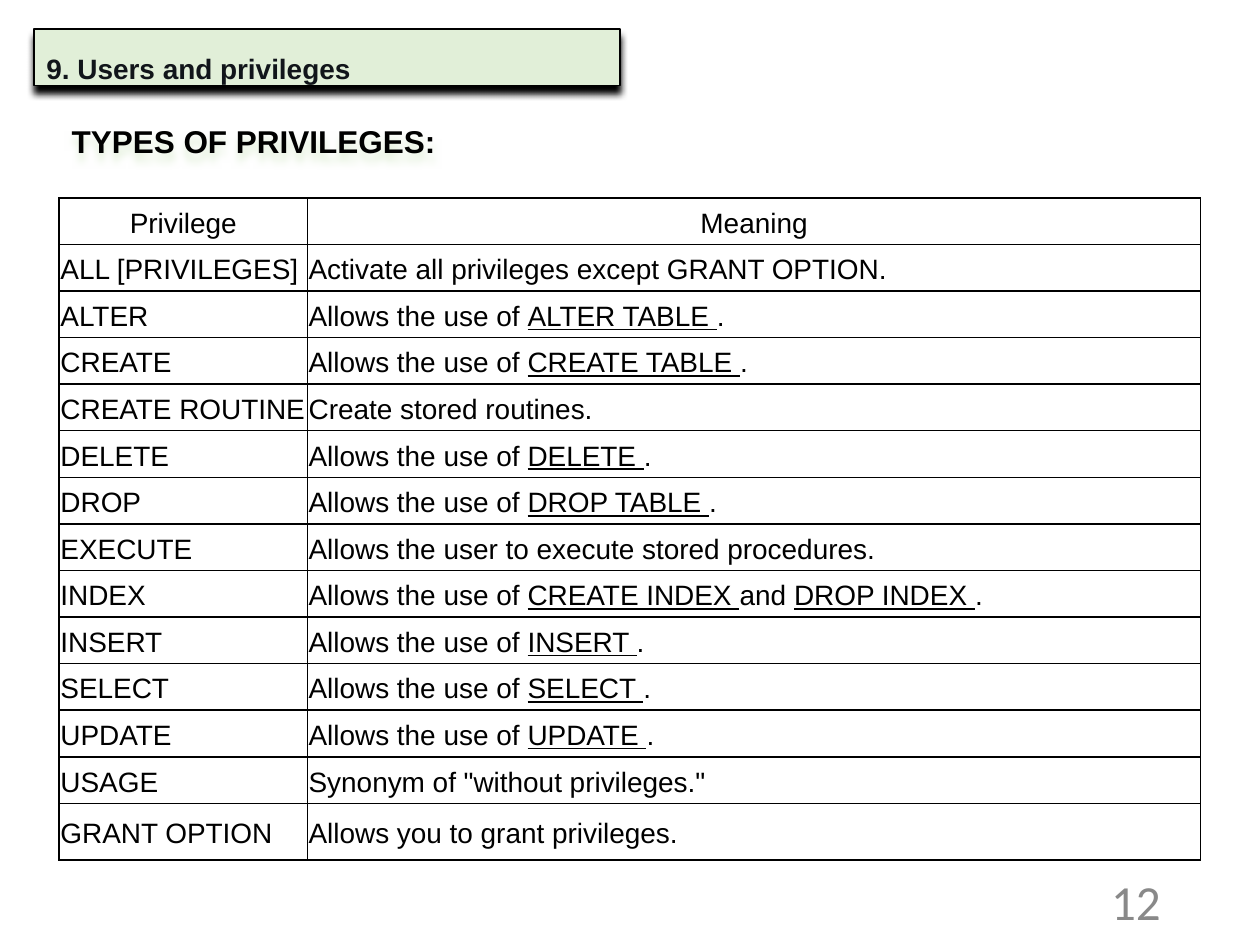
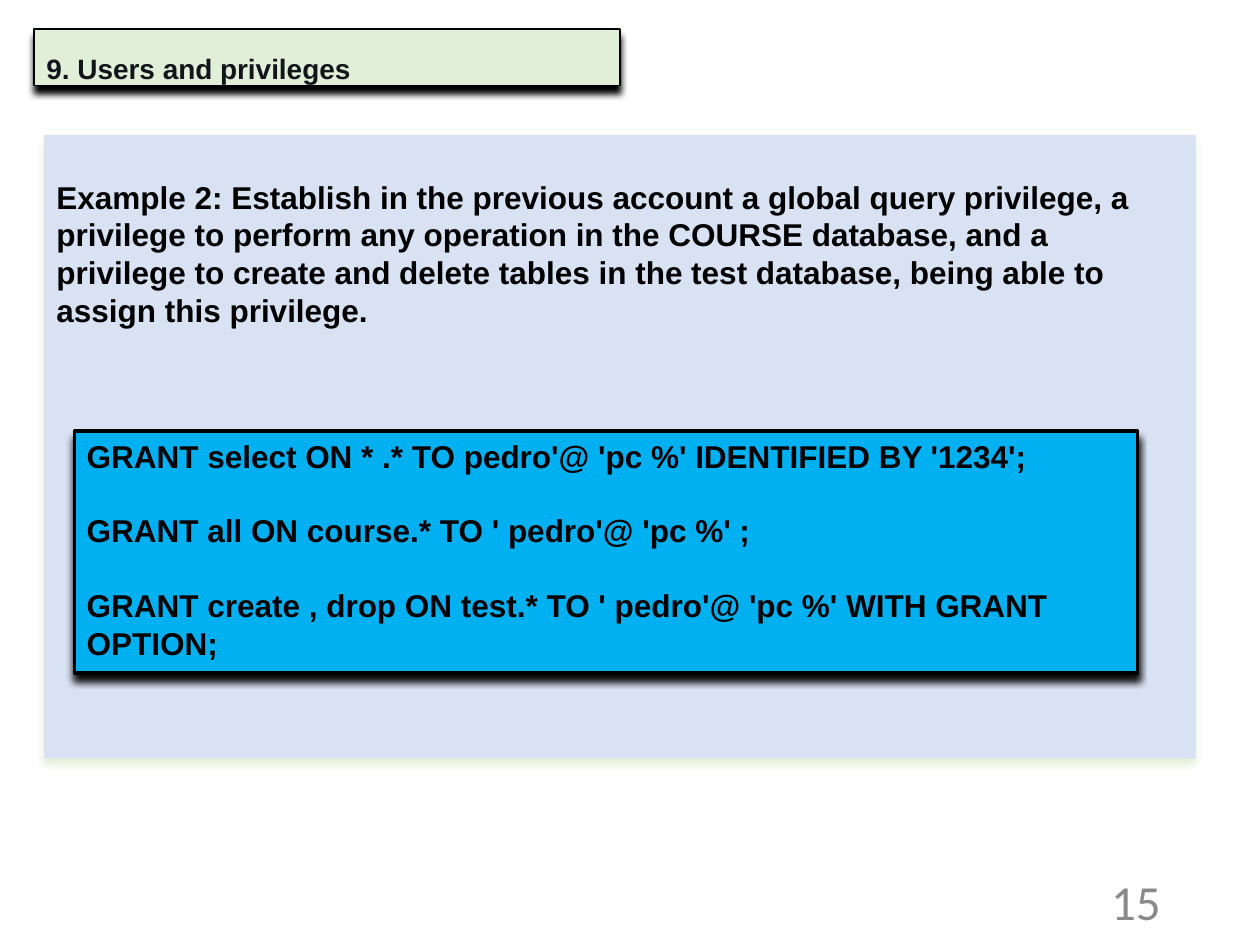
from dataclasses import dataclass

from lxml import etree
from pptx import Presentation
from pptx.dml.color import RGBColor
from pptx.enum.shapes import MSO_SHAPE
from pptx.enum.text import MSO_ANCHOR, PP_ALIGN
from pptx.oxml.ns import qn
from pptx.util import Inches, Pt

RECT = MSO_SHAPE.RECTANGLE
TOP, MIDDLE = MSO_ANCHOR.TOP, MSO_ANCHOR.MIDDLE
LEFT, CENTER, RIGHT = PP_ALIGN.LEFT, PP_ALIGN.CENTER, PP_ALIGN.RIGHT


@dataclass(frozen=True)
class Theme:
    """Colours, fonts and type sizes of the deck."""
    black: str = "000000"
    ink: str = "11151A"
    grey: str = "898989"
    green: str = "E1EFD8"
    pale: str = "D8E2F3"
    blue: str = "00B0F0"
    shade: str = "0C0C0C"
    font: str = "Arial"
    digits: str = "Calibri"
    small: int = 16
    body: int = 18
    large: int = 28


THEME = Theme()
BAND = (0.27, 0.23, 4.65, 0.45)
FOOTER = (7.06, 6.95, 2.25, 0.4)
HEADING = (0.47, 0.92, 8.77, 0.4)
GRID = (0.47, 1.57, 9.06, 5.23)
PANEL = (0.35, 1.07, 9.14, 4.95)
LINE = 0.29

RIGHTS = [
    ("Privilege", "Meaning"),
    ("ALL [PRIVILEGES]", "Activate all privileges except GRANT OPTION."),
    ("ALTER", "Allows the use of |ALTER TABLE |."),
    ("CREATE", "Allows the use of |CREATE TABLE |."),
    ("CREATE ROUTINE", "Create stored routines."),
    ("DELETE", "Allows the use of |DELETE |."),
    ("DROP", "Allows the use of |DROP TABLE |."),
    ("EXECUTE", "Allows the user to execute stored procedures."),
    ("INDEX", "Allows the use of |CREATE INDEX |and |DROP INDEX |."),
    ("INSERT", "Allows the use of |INSERT |."),
    ("SELECT", "Allows the use of |SELECT |."),
    ("UPDATE", "Allows the use of |UPDATE |."),
    ("USAGE", 'Synonym of "without privileges."'),
    ("GRANT OPTION", "Allows you to grant privileges."),
]
TASK = (
    "Example 2: Establish in the previous account a global query privilege, "
    "a privilege to perform any operation in the COURSE database, and a "
    "privilege to create and delete tables in the test database, being able "
    "to assign this privilege."
)
GRANTS = [
    "GRANT select ON * .* TO pedro'@ 'pc %' IDENTIFIED BY '1234';",
    "GRANT all ON course.* TO ' pedro'@ 'pc %' ;",
    "GRANT create , drop ON test.* TO ' pedro'@ 'pc %' WITH GRANT OPTION;",
]


def style(para, size, color=THEME.black, bold=False, font=THEME.font,
          align=LEFT, lead=1.0):
    """Set the font, alignment and line spacing of a paragraph."""
    para.font.size, para.font.bold, para.font.name = Pt(size), bold, font
    para.font.color.rgb = RGBColor.from_string(color)
    para.alignment, para.line_spacing = align, lead


def write(shape, lines, size, anchor=TOP, inset=0.05, gap=0.0, **look):
    """Fill a shape with paragraphs, a gap apart."""
    frame = shape.text_frame
    frame.word_wrap, frame.vertical_anchor = True, anchor
    frame.margin_left = frame.margin_right = Inches(0.1)
    frame.margin_top, frame.margin_bottom = Inches(inset), Inches(0.05)
    for index, line in enumerate(lines):
        para = frame.add_paragraph() if index else frame.paragraphs[0]
        para.add_run().text = line
        para.space_before = Inches(gap if index else 0)
        style(para, size, **look)


def shadow(shape, color):
    """Give a shape a soft shadow that falls straight down."""
    shape.shadow.inherit = False
    effects = shape._element.spPr.find(qn("a:effectLst"))
    outer = etree.SubElement(effects, qn("a:outerShdw"), blurRad=str(Pt(4)),
                             dist=str(Pt(4)), dir="5400000", rotWithShape="0")
    etree.SubElement(outer, qn("a:srgbClr"), val=color)


def block(slide, box, fill, cast, width=0):
    """Draw a filled rectangle with a shadow and, if wide, an outline."""
    shape = slide.shapes.add_shape(RECT, *map(Inches, box))
    shape.fill.solid()
    shape.fill.fore_color.rgb = RGBColor.from_string(fill)
    if width:
        shape.line.width = Pt(width)
        shape.line.color.rgb = RGBColor.from_string(THEME.black)
    else:
        shape.line.fill.background()
    shadow(shape, cast)
    return shape


def label(slide, box, text, size, **look):
    """Add a one-line text box."""
    shape = slide.shapes.add_textbox(*map(Inches, box))
    write(shape, [text], size, **look)
    return shape


def frame(deck, number):
    """Add a slide with its title band and page number."""
    slide = deck.slides.add_slide(deck.slide_layouts[6])
    band = block(slide, BAND, THEME.green, THEME.black, 0.75)
    write(band, ["9. Users and privileges"], THEME.small, color=THEME.ink,
          bold=True, lead=1.5)
    label(slide, FOOTER, str(number), THEME.large, anchor=MIDDLE,
          color=THEME.grey, font=THEME.digits, align=RIGHT)
    return slide


def border(cell):
    """Rule all four sides of a cell."""
    props = cell._tc.get_or_add_tcPr()
    for index, side in enumerate("LRTB"):
        line = etree.Element(qn(f"a:ln{side}"), w=str(Pt(1)))
        fill = etree.SubElement(line, qn("a:solidFill"))
        etree.SubElement(fill, qn("a:srgbClr"), val=THEME.black)
        props.insert(index, line)


def enter(cell, text, align):
    """Fill a cell, underlining every second part of its text."""
    cell.fill.background()
    border(cell)
    cell.vertical_anchor = MIDDLE
    cell.margin_left = cell.margin_right = Inches(0.01)
    cell.margin_top = cell.margin_bottom = Inches(0.01)
    para = cell.text_frame.paragraphs[0]
    for index, part in enumerate(text.split("|")):
        run = para.add_run()
        run.text = part
        if index % 2:
            run.font.underline = True
    style(para, THEME.small, align=align, lead=1.15)


def grid(slide, box, rows):
    """Draw the table of privileges in a box."""
    high, first = 0.37, 1.97
    table = slide.shapes.add_table(len(rows), 2, *map(Inches, box)).table
    table.first_row = table.horz_banding = False
    table.columns[0].width = Inches(first)
    table.columns[1].width = Inches(box[2] - first)
    for index, texts in enumerate(rows):
        table.rows[index].height = Inches(high)
        for cell, text in zip(table.rows[index].cells, texts):
            enter(cell, text, LEFT if index else CENTER)
    table.rows[len(rows) - 1].height = Inches(0.45)


def sample(slide, box):
    """Draw the example panel with its code block inside."""
    left, top = box[:2]
    panel = block(slide, box, THEME.pale, THEME.green)
    write(panel, [TASK], THEME.body, inset=0.05 + LINE, bold=True)
    code = block(slide, (left + 0.24, top + 2.35, 8.44, 1.92), THEME.blue,
                 THEME.shade, 2)
    write(code, GRANTS, THEME.body, gap=LINE, bold=True)


def main():
    """Build and save the deck."""
    deck = Presentation()
    deck.slide_width, deck.slide_height = Inches(10), Inches(7.5)
    types = frame(deck, 12)
    head = label(types, HEADING, "TYPES OF PRIVILEGES:", THEME.body, bold=True)
    shadow(head, THEME.green)
    grid(types, GRID, RIGHTS)
    sample(frame(deck, 15), PANEL)
    deck.save("out.pptx")


if __name__ == "__main__":
    main()
